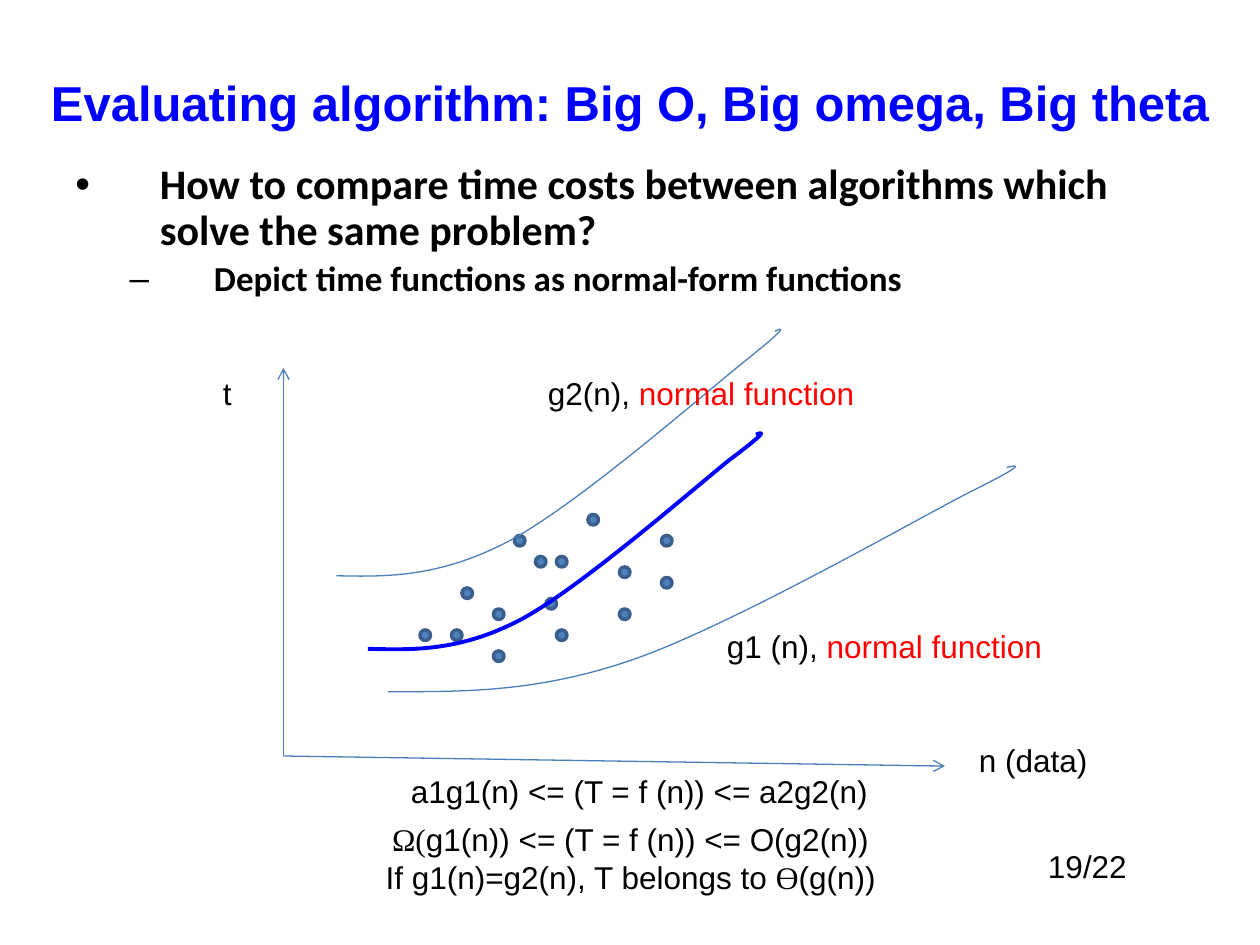
from lxml.etree import SubElement
from pptx import Presentation
from pptx.dml.color import RGBColor
from pptx.enum.shapes import MSO_CONNECTOR, MSO_SHAPE
from pptx.enum.text import MSO_ANCHOR, MSO_AUTO_SIZE, PP_ALIGN
from pptx.oxml.ns import qn
from pptx.util import Inches, Pt

COLORS = {"black": "000000", "blue": "0000FF", "red": "FF0000",
          "line": "4B7EBC", "dot": "4F81BD", "dot_line": "3A5F8C"}
UNIT = 1 / 12  # dot positions and size follow a grid of twelfths of an inch
DOTS = [(40, 60), (43, 60), (44, 56), (47, 58), (49, 51), (52, 57), (53, 53),
        (56, 49), (59, 54), (63, 51), (63, 55), (59, 58), (53, 60), (47, 62),
        (51, 53)]
# Start point, then three points for each Bezier segment
F_CURVE = [(2.92, 5.15), (3.28, 5.16), (3.65, 5.17), (4.13, 4.92),
           (4.6, 4.67), (5.48, 3.9), (5.79, 3.65),
           (6.11, 3.41), (6.05, 3.43), (6, 3.45)]
G2_CURVE = [(2.67, 4.57), (3.08, 4.58), (3.49, 4.58), (4.03, 4.3),
            (4.58, 4.01), (5.57, 3.14), (5.92, 2.86),
            (6.27, 2.58), (6.21, 2.6), (6.15, 2.63)]
G1_CURVE = [(3.08, 5.49), (3.66, 5.49), (4.25, 5.5), (5.01, 5.24),
            (5.77, 4.98), (7.17, 4.18), (7.67, 3.92),
            (8.17, 3.67), (8.08, 3.69), (7.99, 3.71)]


def rgb(name):
    return RGBColor.from_string(COLORS[name])


class Deck:
    def __init__(self):
        self.prs = Presentation()
        self.prs.slide_width, self.prs.slide_height = Inches(10), Inches(7.5)
        self.s = self.prs.slides.add_slide(self.prs.slide_layouts[5])

    def style(self, r, size=18, font="Arial", color="black", bold=False):
        r.font.size, r.font.name, r.font.bold = Pt(size), font, bold
        r.font.color.rgb = rgb(color)

    def stroke(self, sp, color, width):
        sp.line.color.rgb = rgb(color)
        sp.line.width = Pt(width)

    def box(self, x, y, w, h):
        tf = self.s.shapes.add_textbox(*map(Inches, (x, y, w, h))).text_frame
        tf.word_wrap = True
        return tf

    def title(self, text, x, y, w, h):
        sp = self.s.shapes.title
        sp.left, sp.top, sp.width, sp.height = map(Inches, (x, y, w, h))
        tf = sp.text_frame
        tf.text = text
        tf.auto_size = MSO_AUTO_SIZE.NONE
        tf.vertical_anchor = MSO_ANCHOR.MIDDLE
        p = tf.paragraphs[0]
        p.alignment = PP_ALIGN.CENTER
        self.style(p.runs[0], 28, color="blue", bold=True)

    def text(self, x, y, w, h, *lines, align=PP_ALIGN.LEFT):
        """Each line is a list of (text, style) runs."""
        tf = self.box(x, y, w, h)
        for i, runs in enumerate(lines):
            p = tf.add_paragraph() if i else tf.paragraphs[0]
            p.alignment = align
            for content, options in runs:
                r = p.add_run()
                r.text = content
                self.style(r, **options)

    def bullets(self, x, y, w, h, items):
        """Each item is (text, bullet, left margin, size)."""
        tf = self.box(x, y, w, h)
        for level, (content, char, margin, size) in enumerate(items):
            p = tf.add_paragraph() if level else tf.paragraphs[0]
            p.text = content
            p.level = level
            pPr = p._p.get_or_add_pPr()
            pPr.set("marL", str(Inches(margin)))
            pPr.set("indent", str(Inches(-0.67)))
            SubElement(pPr, qn("a:buFont"), typeface="Arial")
            SubElement(pPr, qn("a:buChar"), char=char)
            p.line_spacing = 0.9
            if level:
                p.space_before = Pt(0.2 * size)
            self.style(p.runs[0], size, "Calibri", bold=True)

    def arrow(self, x1, y1, x2, y2):
        sp = self.s.shapes.add_connector(
            MSO_CONNECTOR.STRAIGHT, *map(Inches, (x1, y1, x2, y2)))
        self.stroke(sp, "line", 0.75)
        SubElement(sp.line._get_or_add_ln(), qn("a:tailEnd"), type="arrow")
        SubElement(sp._element.spPr, qn("a:effectLst"))

    def dot(self, col, row):
        sp = self.s.shapes.add_shape(
            MSO_SHAPE.OVAL, *(Inches(n * UNIT) for n in (col, row, 1, 1)))
        sp.shadow.inherit = False
        sp.fill.solid()
        sp.fill.fore_color.rgb = rgb("dot")
        self.stroke(sp, "dot_line", 2)

    def curve(self, points, color="line", width=0.75):
        """Draw Bezier segments by merging each three line segments into one."""
        start, *rest = [tuple(map(Inches, pt)) for pt in points]
        builder = self.s.shapes.build_freeform(*start)
        builder.add_line_segments(rest, close=False)
        sp = builder.convert_to_shape()
        lines = list(sp._element.iter(qn("a:lnTo")))
        outline = lines[0].getparent()
        for i in range(0, len(lines), 3):
            segment = SubElement(outline, qn("a:cubicBezTo"))
            for line in lines[i:i + 3]:
                segment.append(line[0])
                outline.remove(line)
        sp.shadow.inherit = False
        sp.fill.background()
        self.stroke(sp, color, width)


def main():
    d = Deck()
    center = PP_ALIGN.CENTER
    red, times = {"color": "red"}, {"font": "Times New Roman"}

    d.text(7.92, 6.67, 1.42, 0.4, [("19/22", {})], align=center)
    d.title("Evaluating algorithm: Big O, Big omega, Big theta",
            0, 0.52, 10, 0.57)
    d.bullets(0.5, 1.25, 9.17, 1.57, [
        ("How to compare time costs between algorithms which solve the same "
         "problem?", "•", 0.67, 24),
        ("Depict time functions as normal-form functions", "–", 1.1, 20)])

    d.arrow(2.25, 6, 2.25, 2.92)
    d.arrow(2.25, 6, 7.5, 6.08)
    d.text(7.67, 5.83, 1.83, 0.4, [("n (data)", {})])
    d.text(1.67, 2.92, 0.5, 0.4, [("t", {})])

    for col, row in DOTS:
        d.dot(col, row)
    d.curve(F_CURVE, "blue", 2.25)
    d.curve(G2_CURVE)
    d.curve(G1_CURVE)

    d.text(2.99, 6.08, 4.17, 0.4,
           [("a1g1(n) <= (T = f (n)) <= a2g2(n)", {})], align=center)
    d.text(4.25, 2.92, 2.83, 0.4, [("g2(n), ", {}), ("normal function", red)])
    d.text(5.67, 4.93, 2.92, 0.4, [("g1 (n), ", {}), ("normal function", red)])
    d.text(2.42, 6.46, 5.17, 0.71,
           [("Ω(", times), ("g1(n)) <= (T = f (n)) <= O(g2(n))", {})],
           [("If g1(n)=g2(n), T belongs to ", {}), ("Ɵ", times),
            ("(g(n))", {})], align=center)
    d.prs.save("out.pptx")


if __name__ == "__main__":
    main()
